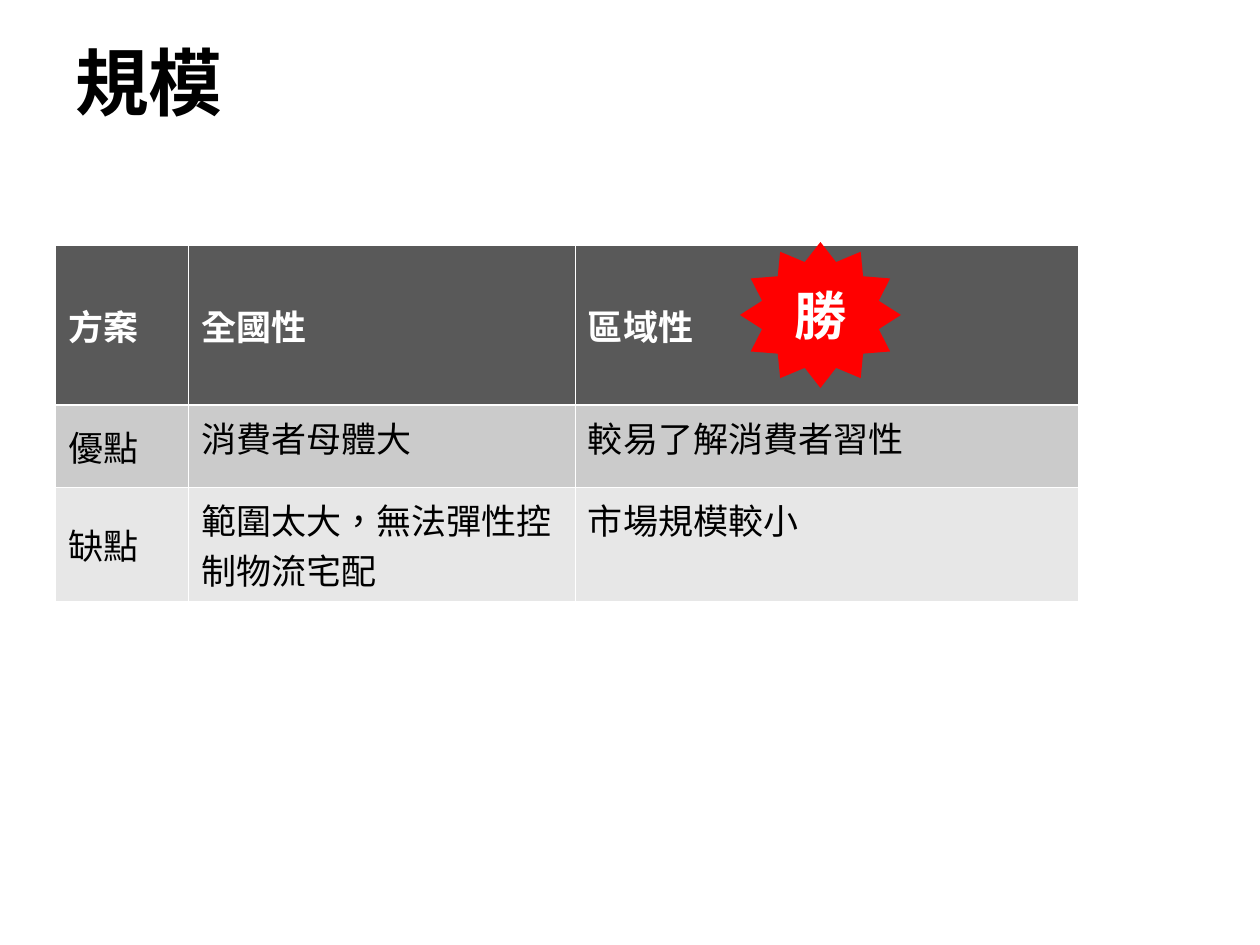
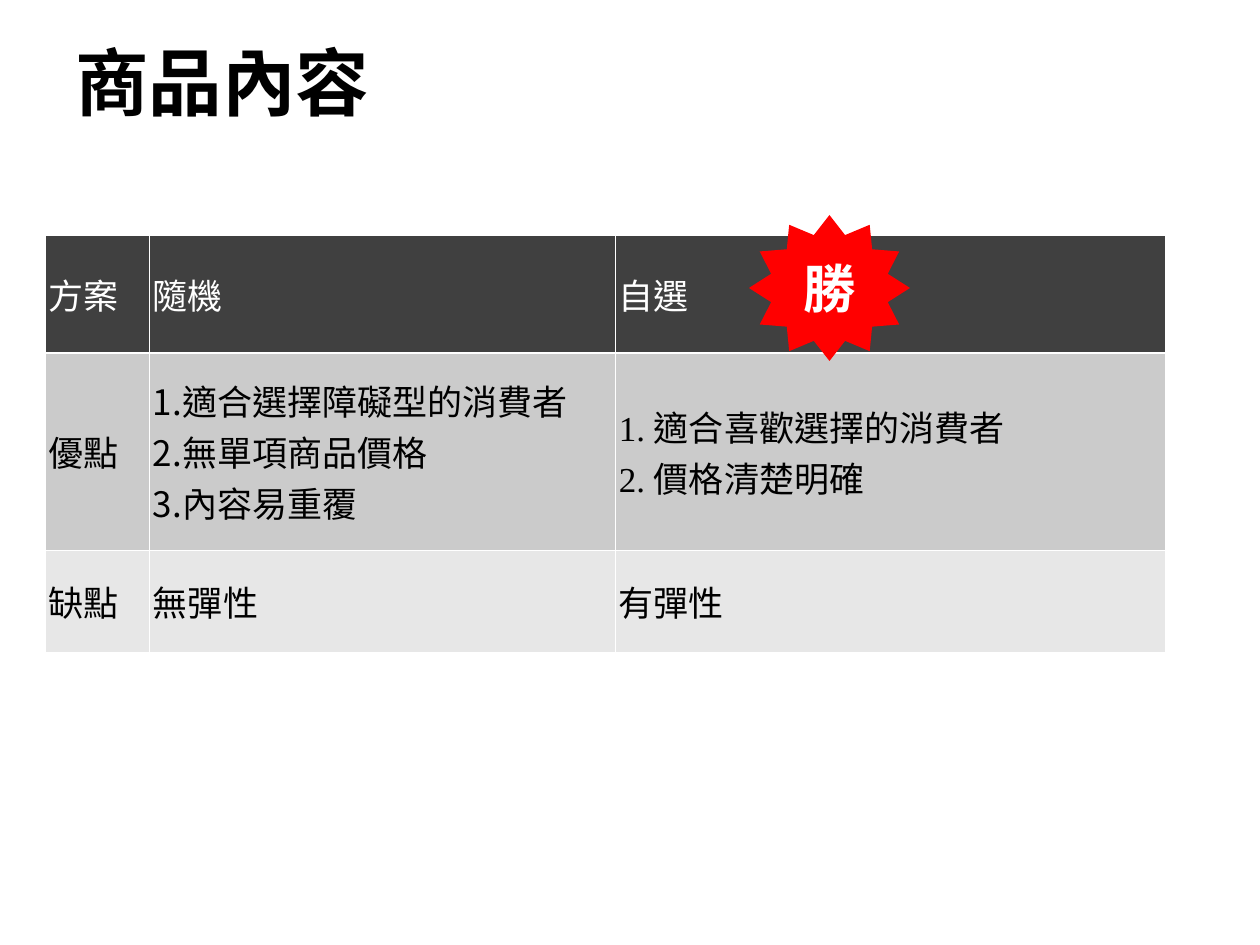
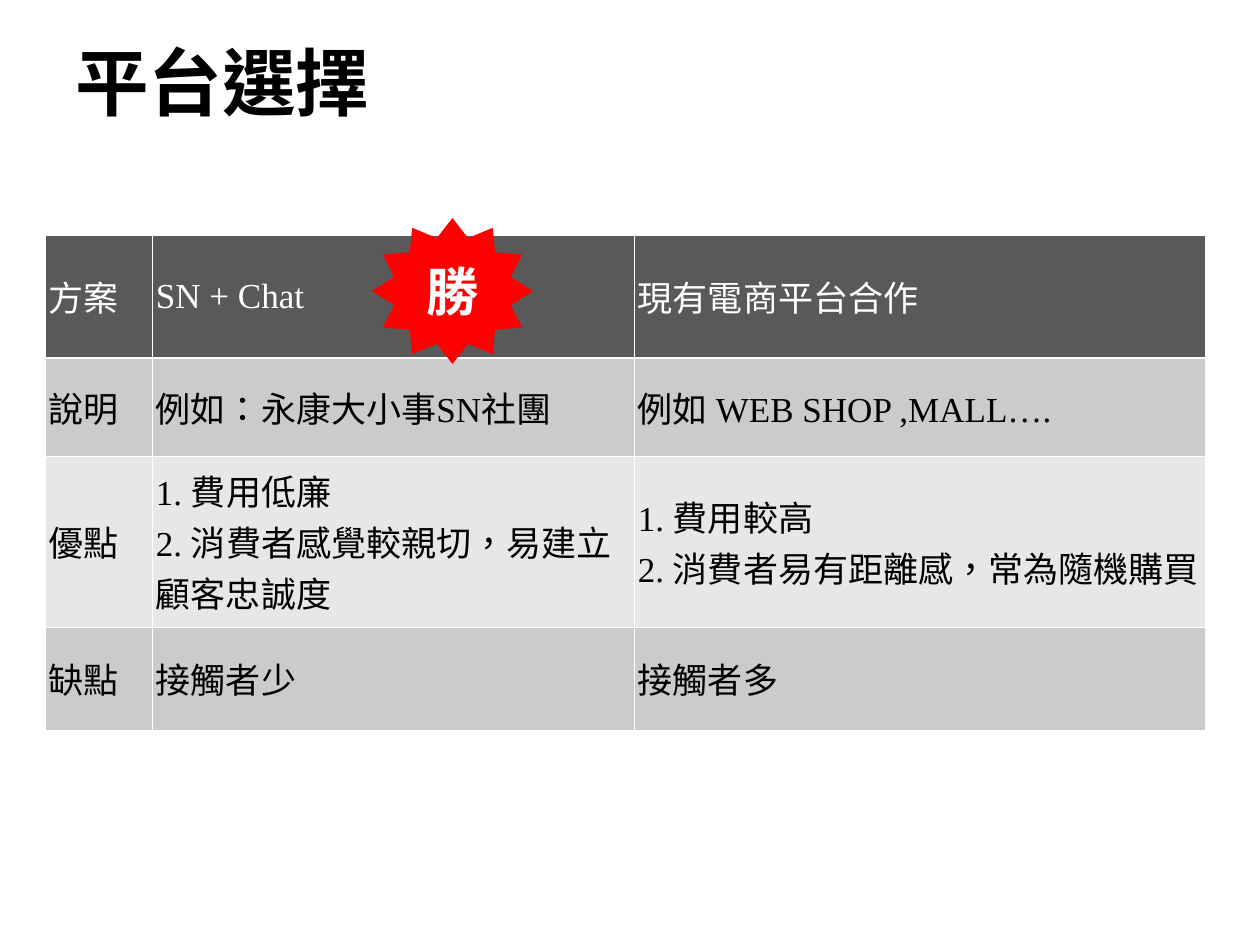
from dataclasses import dataclass

from lxml import etree
from pptx import Presentation
from pptx import util as u
from pptx.dml.color import RGBColor
from pptx.enum import lang, shapes, text
from pptx.oxml.ns import qn

# Content: a cell is a string, or a list of paragraphs; NUMBERED cells count by themselves
NUMBERED = "numbered"

SLIDES = [
    {
        "title": "規模",
        "origin": (55, 245),
        "columns": (133, 387, 503),
        "rows": (160, 82, 114),
        "header_fill": "595959",
        "header_bold": True,
        "side_margin": 13,
        "body_anchor": text.MSO_ANCHOR.TOP,
        "winner_at": (740, 242),
        "cells": [
            ["方案", "全國性", "區域性"],
            ["優點", "消費者母體大", "較易了解消費者習性"],
            ["缺點", "範圍太大，無法彈性控制物流宅配", "市場規模較小"],
        ],
    },
    {
        "title": "商品內容",
        "origin": (45, 235),
        "columns": (104, 466, 550),
        "rows": (118, 197, 102),
        "header_fill": "404040",
        "header_bold": False,
        "side_margin": 4,
        "body_anchor": text.MSO_ANCHOR.MIDDLE,
        "winner_at": (749, 215),
        "cells": [
            ["方案", "隨機", "自選"],
            ["優點",
             (NUMBERED, ["適合選擇障礙型的消費者", "無單項商品價格", "內容易重覆"]),
             ["1. 適合喜歡選擇的消費者", "2. 價格清楚明確"]],
            ["缺點", "無彈性", "有彈性"],
        ],
    },
    {
        "title": "平台選擇",
        "origin": (45, 235),
        "columns": (107, 482, 571),
        "rows": (123, 98, 171, 103),
        "header_fill": "595959",
        "header_bold": False,
        "side_margin": 4,
        "body_anchor": text.MSO_ANCHOR.MIDDLE,
        "winner_at": (372, 218),
        "cells": [
            ["方案", "SN + Chat", "現有電商平台合作"],
            ["說明", "例如：永康大小事SN社團", "例如 WEB SHOP ,MALL…."],
            ["優點",
             ["1. 費用低廉", "2. 消費者感覺較親切，易建立顧客忠誠度"],
             ["1. 費用較高", "2. 消費者易有距離感，常為隨機購買"]],
            ["缺點", "接觸者少", "接觸者多"],
        ],
    },
]
WINNER = "勝"


@dataclass(frozen=True)
class Theme:
    ink: str = "000000"
    paper: str = "FFFFFF"
    badge: str = "FF0000"
    bands: tuple = ("CBCBCB", "E7E7E7")
    body_font: str = "Times New Roman"
    badge_font: str = "Calibri"
    title_size: int = 42
    cell_size: int = 20
    badge_size: int = 30
    thin_rule: float = 0.45
    header_rule: float = 1.47


THEME = Theme()
PX_PER_INCH = 126
PAGE = (1260, 945)
TITLE_BOX = (63, 38, 1134, 87)
BADGE_SIZE = (161, 146)


def px(length):
    return u.Inches(length / PX_PER_INCH)


def add_span(para, words, size, color, bold=False, font=THEME.body_font):
    span = para.add_run()
    span.text = words
    span.font.name = font
    span.font.size = u.Pt(size)
    span.font.bold = bold
    span.font.color.rgb = RGBColor.from_string(color)
    span.font.language_id = lang.MSO_LANGUAGE_ID.TRADITIONAL_CHINESE


def number_paragraph(para):
    properties = para._p.get_or_add_pPr()
    properties.set("marL", "0")
    properties.set("indent", "0")
    bullet_color = etree.SubElement(properties, qn("a:buClr"))
    etree.SubElement(bullet_color, qn("a:srgbClr"), val=THEME.ink)
    etree.SubElement(properties, qn("a:buAutoNum"), type="arabicPeriod")


def draw_borders(cell, top, bottom):
    properties = cell._tc.get_or_add_tcPr()
    widths = {"lnL": THEME.thin_rule, "lnR": THEME.thin_rule, "lnT": top, "lnB": bottom}
    for place, (side, width) in enumerate(widths.items()):
        line = etree.Element(qn(f"a:{side}"), w=str(u.Pt(width)))
        fill = etree.SubElement(line, qn("a:solidFill"))
        etree.SubElement(fill, qn("a:srgbClr"), val=THEME.paper)
        properties.insert(place, line)


def add_title(page, words):
    box = page.shapes.add_textbox(*map(px, TITLE_BOX))
    frame = box.text_frame
    frame.word_wrap = True
    frame.vertical_anchor = text.MSO_ANCHOR.MIDDLE
    add_span(frame.paragraphs[0], words, THEME.title_size, THEME.ink, bold=True)


def fill_cell(cell, content, color, bold):
    numbered = isinstance(content, tuple)
    if numbered:
        content = content[1]
    lines = [content] if isinstance(content, str) else content
    frame = cell.text_frame
    for index, words in enumerate(lines):
        para = frame.add_paragraph() if index else frame.paragraphs[0]
        if numbered:
            number_paragraph(para)
        add_span(para, words, THEME.cell_size, color, bold)


def add_comparison(page, plan):
    columns, rows = plan["columns"], plan["rows"]
    area = (*plan["origin"], sum(columns), sum(rows))
    table = page.shapes.add_table(len(rows), len(columns), *map(px, area)).table
    table.first_row = table.horz_banding = False
    for column, width in zip(table.columns, columns):
        column.width = px(width)
    for row, height in zip(table.rows, rows):
        row.height = px(height)

    for r, contents in enumerate(plan["cells"]):
        header = r == 0
        fill = plan["header_fill"] if header else THEME.bands[(r - 1) % 2]
        for c, content in enumerate(contents):
            cell = table.cell(r, c)
            cell.margin_left = cell.margin_right = px(plan["side_margin"])
            label = header or c == 0
            cell.vertical_anchor = text.MSO_ANCHOR.MIDDLE if label else plan["body_anchor"]
            cell.fill.solid()
            cell.fill.fore_color.rgb = RGBColor.from_string(fill)
            draw_borders(cell,
                         top=THEME.header_rule if r == 1 else THEME.thin_rule,
                         bottom=THEME.header_rule if header else THEME.thin_rule)
            fill_cell(cell, content,
                      color=THEME.paper if header else THEME.ink,
                      bold=header and plan["header_bold"])


def add_winner_badge(page, corner):
    badge = page.shapes.add_shape(shapes.MSO_SHAPE.STAR_12_POINT,
                                  *map(px, (*corner, *BADGE_SIZE)))
    badge.shadow.inherit = False
    badge.fill.solid()
    badge.fill.fore_color.rgb = RGBColor.from_string(THEME.badge)
    badge.line.fill.background()
    frame = badge.text_frame
    frame.margin_left = frame.margin_right = frame.margin_top = frame.margin_bottom = 0
    frame.vertical_anchor = text.MSO_ANCHOR.MIDDLE
    para = frame.paragraphs[0]
    para.alignment = text.PP_ALIGN.CENTER
    add_span(para, WINNER, THEME.badge_size, THEME.paper, True, THEME.badge_font)


def main():
    deck = Presentation()
    deck.slide_width, deck.slide_height = map(px, PAGE)
    for plan in SLIDES:
        page = deck.slides.add_slide(deck.slide_layouts[6])
        add_title(page, plan["title"])
        add_comparison(page, plan)
        add_winner_badge(page, plan["winner_at"])
    deck.save("out.pptx")


if __name__ == "__main__":
    main()
